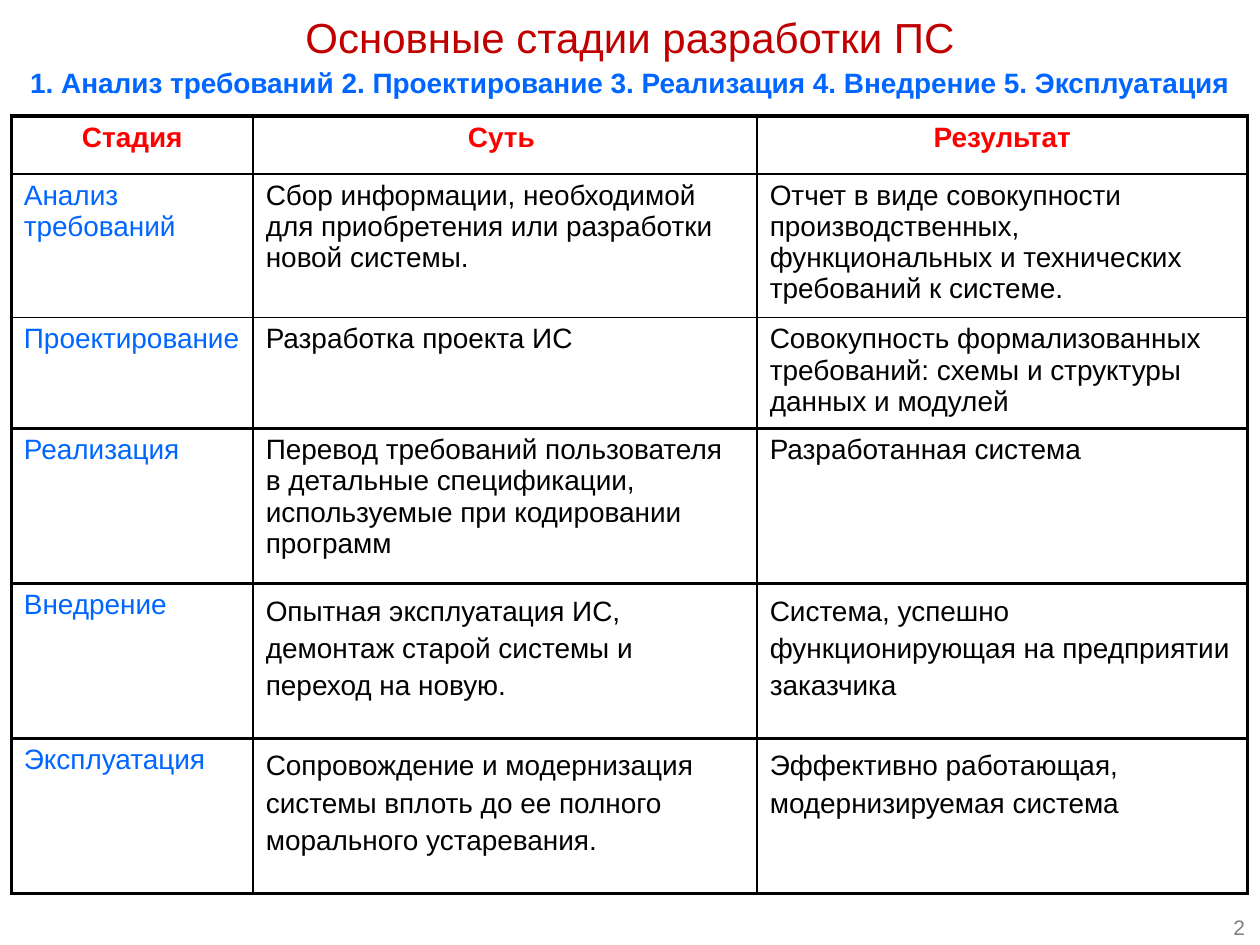
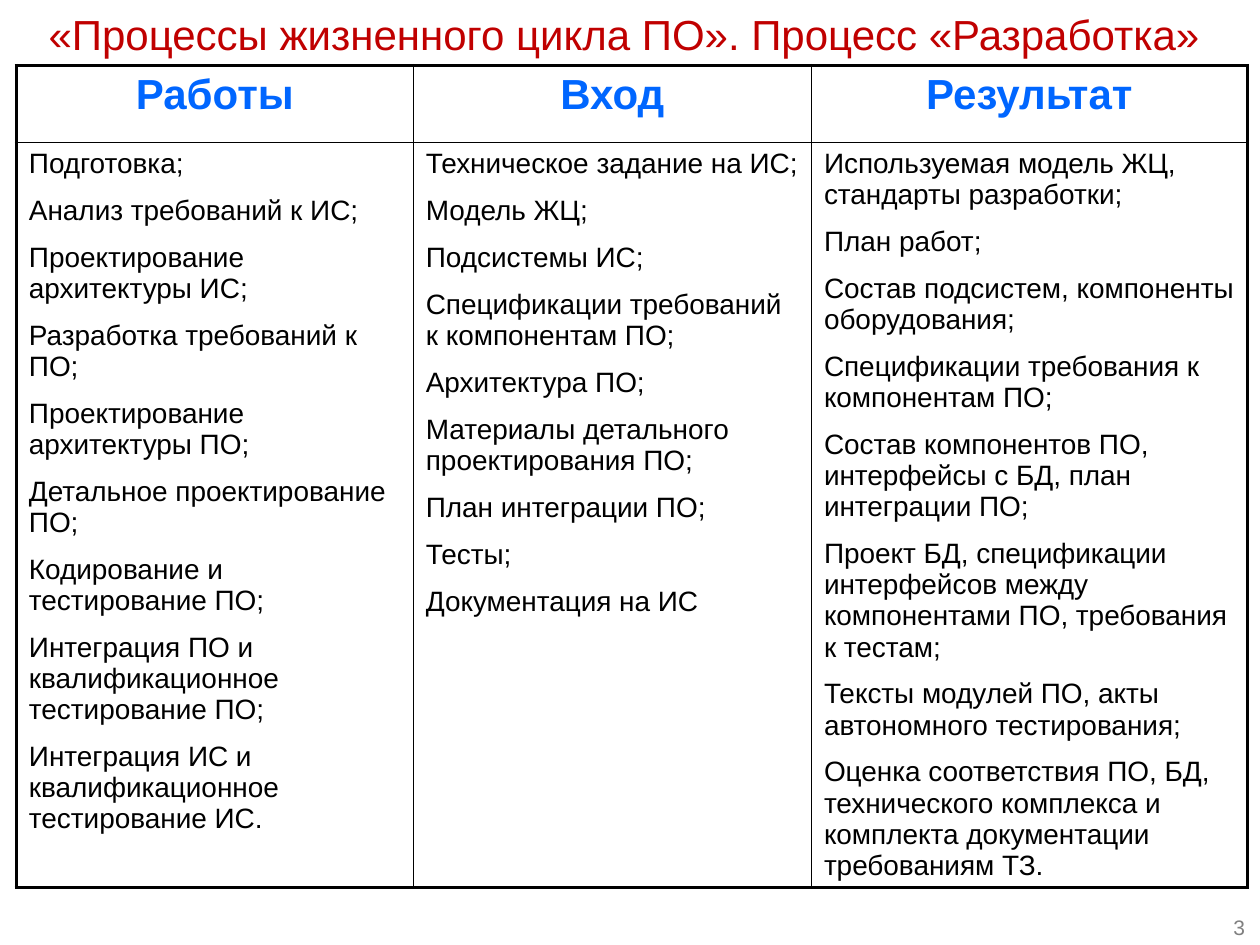
import pptx
import pptx.util
import pptx.dml.color
import pptx.enum.text
import pptx.oxml
import pptx.oxml.ns

FONT = "Arial"
TITLE_RED, HEADER_RED, BLUE = "C00000", "FF0000", "0066FF"
BLACK, GRAY = "000000", "808080"
THICK, THIN = 2.25, 1
GRID_COLUMNS, GRID_ROWS = 100, 75
CENTER = pptx.enum.text.PP_ALIGN.CENTER
LEFT = pptx.enum.text.PP_ALIGN.LEFT
RIGHT = pptx.enum.text.PP_ALIGN.RIGHT

TITLE = {"size": 24, "color": TITLE_RED, "align": CENTER}
SUBTITLE = {"size": 16, "color": BLUE, "bold": True, "align": CENTER}
NUMBER = {"size": 12, "color": GRAY, "align": RIGHT}
STAGE_HEADER = {"size": 16, "color": HEADER_RED, "bold": True, "align": CENTER}
STAGE_NAME = {"size": 16, "color": BLUE}
BODY = {"size": 16, "color": BLACK}
LOOSE_BODY = {**BODY, "line_spacing": 1.2}
WORK_HEADER = {"size": 24, "color": BLUE, "bold": True, "align": CENTER}
WORK_LIST = {**BODY, "space_before": pptx.util.Pt(9)}

STAGES = [
    ("Стадия", "Суть ", "Результат"),
    ("Анализ требований",
     "Сбор информации, необходимой для приобретения или разработки новой системы.",
     "Отчет в виде совокупности производственных, функциональных и технических требований к системе."),
    ("Проектирование",
     "Разработка проекта ИС",
     "Совокупность формализованных требований: схемы и структуры данных и модулей"),
    ("Реализация",
     "Перевод требований пользователя в детальные спецификации, используемые при кодировании программ",
     "Разработанная система"),
    ("Внедрение",
     "Опытная эксплуатация ИС, демонтаж старой системы и переход на новую.",
     "Система, успешно функционирующая на предприятии заказчика"),
    ("Эксплуатация",
     "Сопровождение и модернизация системы вплоть до ее полного морального устаревания.",
     "Эффективно работающая, модернизируемая система"),
]

WORKS = {
    "Работы": [
        "Подготовка;",
        "Анализ требований к ИС;",
        "Проектирование архитектуры ИС;",
        "Разработка требований к ПО;",
        "Проектирование архитектуры ПО;",
        "Детальное проектирование ПО;",
        "Кодирование и тестирование ПО;",
        "Интеграция ПО и квалификационное тестирование ПО;",
        "Интеграция ИС и квалификационное тестирование ИС.",
    ],
    "Вход": [
        "Техническое задание на ИС;",
        "Модель ЖЦ;",
        "Подсистемы ИС;",
        "Спецификации требований к компонентам ПО;",
        "Архитектура ПО;",
        "Материалы детального проектирования ПО;",
        "План интеграции ПО;",
        "Тесты;",
        "Документация на ИС",
    ],
    "Результат": [
        "Используемая модель ЖЦ, стандарты разработки;",
        "План работ;",
        "Состав подсистем, компоненты оборудования;",
        "Спецификации требования к компонентам ПО;",
        "Состав компонентов ПО, интерфейсы с БД, план интеграции ПО;",
        "Проект БД, спецификации интерфейсов между компонентами ПО, требования к тестам;",
        "Тексты модулей ПО, акты автономного тестирования;",
        "Оценка соответствия ПО, БД, технического комплекса и комплекта документации требованиям ТЗ.",
    ],
}


def columns(count):
    return round(pptx.util.Inches(10) * count / GRID_COLUMNS)


def rows(count):
    return round(pptx.util.Inches(7.5) * count / GRID_ROWS)


def rgb(color):
    return pptx.dml.color.RGBColor.from_string(color)


def write(text_frame, lines, style):
    text_frame.text = "\n".join(lines)
    for paragraph in text_frame.paragraphs:
        paragraph_format = {
            "alignment": style.get("align", LEFT),
            "line_spacing": style.get("line_spacing", 1.0),
            "space_before": style.get("space_before", 0),
        }
        for name, value in paragraph_format.items():
            setattr(paragraph, name, value)
        font_format = {
            "name": FONT,
            "size": pptx.util.Pt(style["size"]),
            "bold": style.get("bold", False),
        }
        for run in paragraph.runs:
            for name, value in font_format.items():
                setattr(run.font, name, value)
            run.font.color.rgb = rgb(style["color"])


def format_text_shape(shape, text, style):
    frame_format = {
        "word_wrap": True,
        "auto_size": pptx.enum.text.MSO_AUTO_SIZE.NONE,
        "vertical_anchor": pptx.enum.text.MSO_ANCHOR.MIDDLE,
    }
    for name, value in frame_format.items():
        setattr(shape.text_frame, name, value)
    write(shape.text_frame, [text], style)


def add_text(slide, left, top, width, height, text, style):
    shape = slide.shapes.add_textbox(columns(left), rows(top), columns(width), rows(height))
    format_text_shape(shape, text, style)


def add_titled_slide(presentation, title, title_height, number):
    slide = presentation.slides.add_slide(presentation.slide_layouts[5])
    place = {"left": 0, "top": rows(0.1), "width": columns(100), "height": rows(title_height)}
    for name, value in place.items():
        setattr(slide.shapes.title, name, value)
    format_text_shape(slide.shapes.title, title, TITLE)
    add_text(slide, 93.3, 72.1, 6.5, 2.9, str(number), NUMBER)
    return slide


def set_borders(cell, weights):
    properties = cell._tc.get_or_add_tcPr()
    for index, (side, weight) in enumerate(weights.items()):
        border = pptx.oxml.parse_xml(
            f'<a:ln{side} {pptx.oxml.ns.nsdecls("a")} w="{pptx.util.Pt(weight)}">'
            f'<a:solidFill><a:srgbClr val="{BLACK}"/></a:solidFill></a:ln{side}>'
        )
        properties.insert(index, border)


def add_ruled_table(slide, left, top, column_widths, row_heights, row_lines, cells, style_of):
    frame = slide.shapes.add_table(
        len(row_heights), len(column_widths), columns(left), rows(top),
        columns(sum(column_widths)), rows(sum(row_heights)),
    )
    table = frame.table
    table.first_row = table.horz_banding = False
    for column, width in zip(table.columns, column_widths):
        column.width = columns(width)
    for row, height in zip(table.rows, row_heights):
        row.height = rows(height)
    column_lines = [THICK] + [THIN] * (len(column_widths) - 1) + [THICK]
    for row_index, row_cells in enumerate(cells):
        for column_index, lines in enumerate(row_cells):
            cell = table.cell(row_index, column_index)
            cell.fill.background()
            write(cell.text_frame, lines, style_of(row_index, column_index))
            set_borders(cell, {
                "L": column_lines[column_index],
                "R": column_lines[column_index + 1],
                "T": row_lines[row_index],
                "B": row_lines[row_index + 1],
            })


def stage_style(row, column):
    if row == 0:
        return STAGE_HEADER
    if column == 0:
        return STAGE_NAME
    return LOOSE_BODY if row >= 4 else BODY


def work_style(row, column):
    return WORK_LIST if row else WORK_HEADER


def build_stages(presentation):
    slide = add_titled_slide(presentation, "Основные стадии разработки ПС", 5.7, 2)
    names = [stage[0] for stage in STAGES[1:]]
    summary = " ".join(f"{number}. {name[0]}{name[1:]}" for number, name in enumerate(names, 1))
    add_text(slide, 0, 4.4, 100, 4.2, summary, SUBTITLE)
    cells = [[[text] for text in stage] for stage in STAGES]
    add_ruled_table(
        slide, 0.9, 9.2, [19.2, 40, 38.9], [4.6, 11.4, 8.8] + [12.3] * 3,
        [THICK, THIN, THIN] + [THICK] * 4, cells, stage_style,
    )


def build_works(presentation):
    title = "«Процессы жизненного цикла ПО». Процесс «Разработка» "
    slide = add_titled_slide(presentation, title, 5.1, 3)
    cells = [[[header] for header in WORKS], list(WORKS.values())]
    add_ruled_table(
        slide, 1.3, 5.2, [31.5, 31.6, 34.6], [6.1, 53.8],
        [THICK, THIN, THICK], cells, work_style,
    )


def main():
    presentation = pptx.Presentation()
    presentation.slide_width = columns(GRID_COLUMNS)
    presentation.slide_height = rows(GRID_ROWS)
    build_stages(presentation)
    build_works(presentation)
    presentation.save("out.pptx")


if __name__ == "__main__":
    main()
